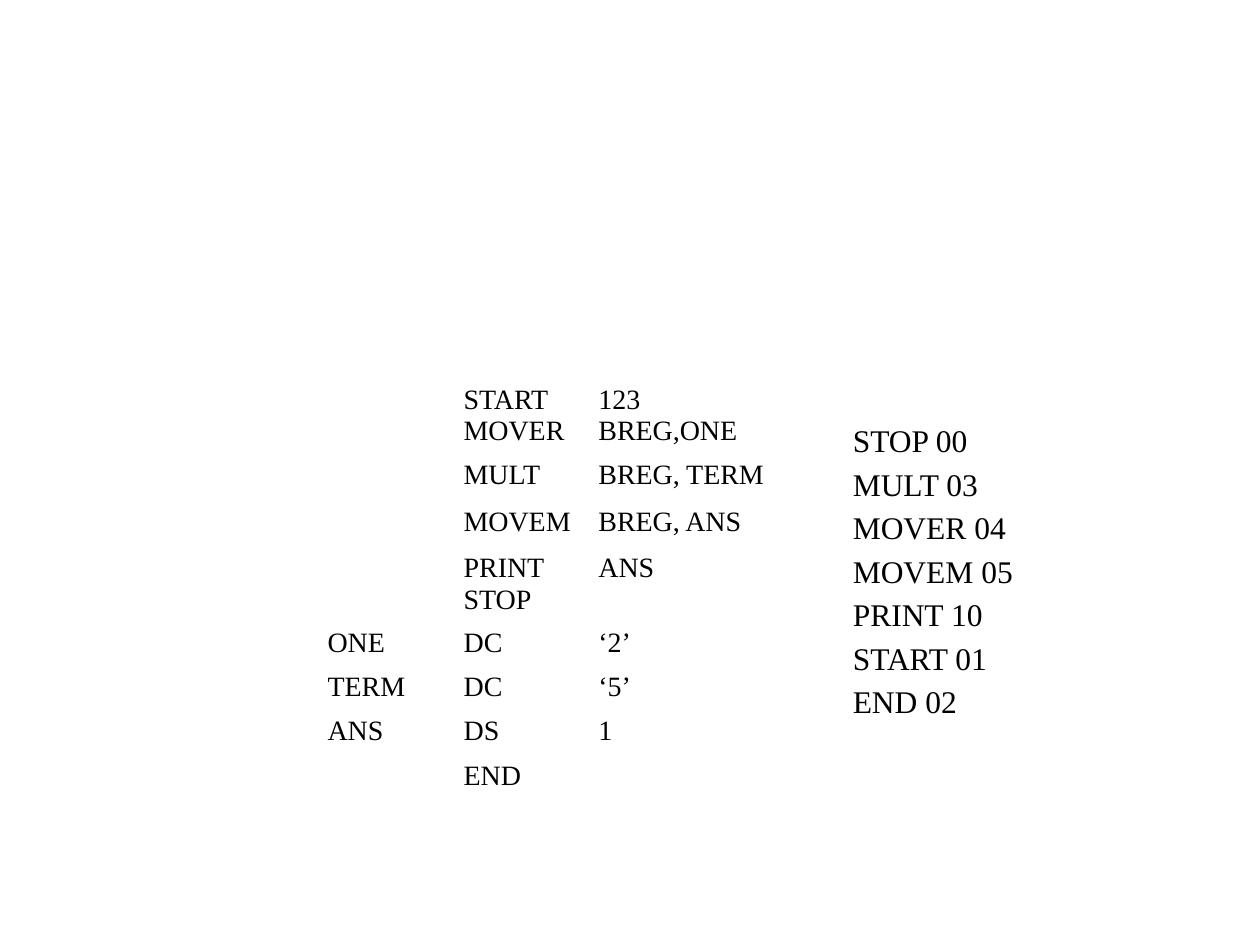
from pptx import Presentation
from pptx.dml.color import RGBColor
from pptx.enum.text import MSO_AUTO_SIZE, PP_ALIGN
from pptx.util import Inches, Pt

# Content: label, operation, operands
PROGRAM = [
    ("", "START MOVER", "123\nBREG,ONE"),
    ("", "MULT", "BREG, TERM"),
    ("", "MOVEM", "BREG, ANS"),
    ("", "PRINT\nSTOP", "ANS"),
    ("ONE", "DC", "‘2’"),
    ("TERM", "DC", "‘5’"),
    ("ANS", "DS", "1"),
    ("", "END", ""),
]
OPCODES = ["STOP 00", "MULT 03", "MOVER 04", "MOVEM 05", "PRINT 10", "START 01", "END 02"]

THEME = {"font": "Times New Roman", "ink": RGBColor(0, 0, 0), "code": Pt(16), "list": Pt(18)}
COLUMN_WIDTHS = [1.08, 1.07, 1.68]
ROW_HEIGHT = 0.35


def set_all(target, values):
    for name, value in values.items():
        setattr(target, name, value)


def style_spans(para, size):
    for span in para.runs:
        set_all(span.font, {"name": THEME["font"], "size": size, "bold": False})
        span.font.color.rgb = THEME["ink"]


def add_program(page):
    frame = page.shapes.add_table(
        len(PROGRAM), len(COLUMN_WIDTHS), Inches(2.5), Inches(3),
        Inches(sum(COLUMN_WIDTHS)), Inches(ROW_HEIGHT * len(PROGRAM)))
    table = frame.table
    set_all(table, {"first_row": False, "horz_banding": False})
    for column, width in zip(table.columns, COLUMN_WIDTHS):
        column.width = Inches(width)
    for row, texts in zip(table.rows, PROGRAM):
        row.height = Inches(ROW_HEIGHT)
        for cell, text in zip(row.cells, texts):
            cell.fill.background()
            cell.text = text
            for para in cell.text_frame.paragraphs:
                style_spans(para, THEME["code"])
                # Empty cells keep the row height through their end mark
                if not text:
                    end_mark = para._p.get_or_add_endParaRPr()
                    end_mark.set("sz", str(int(THEME["code"].pt * 100)))


def add_opcodes(page):
    box = page.shapes.add_textbox(Inches(6.67), Inches(3.25), Inches(5), Inches(2.54))
    frame = box.text_frame
    set_all(frame, {"word_wrap": True, "auto_size": MSO_AUTO_SIZE.SHAPE_TO_FIT_TEXT})
    frame.text = "\n".join(OPCODES)
    for para in frame.paragraphs:
        set_all(para, {"alignment": PP_ALIGN.JUSTIFY, "line_spacing": 1.15})
        properties = para._p.get_or_add_pPr()
        properties.set("marL", str(Inches(0.38)))
        properties.set("indent", str(-Inches(0.38)))
        style_spans(para, THEME["list"])


def main():
    deck = Presentation()
    set_all(deck, {"slide_width": Inches(10), "slide_height": Inches(7.5)})
    page = deck.slides.add_slide(deck.slide_layouts[6])
    add_program(page)
    add_opcodes(page)
    deck.save("out.pptx")


if __name__ == "__main__":
    main()
